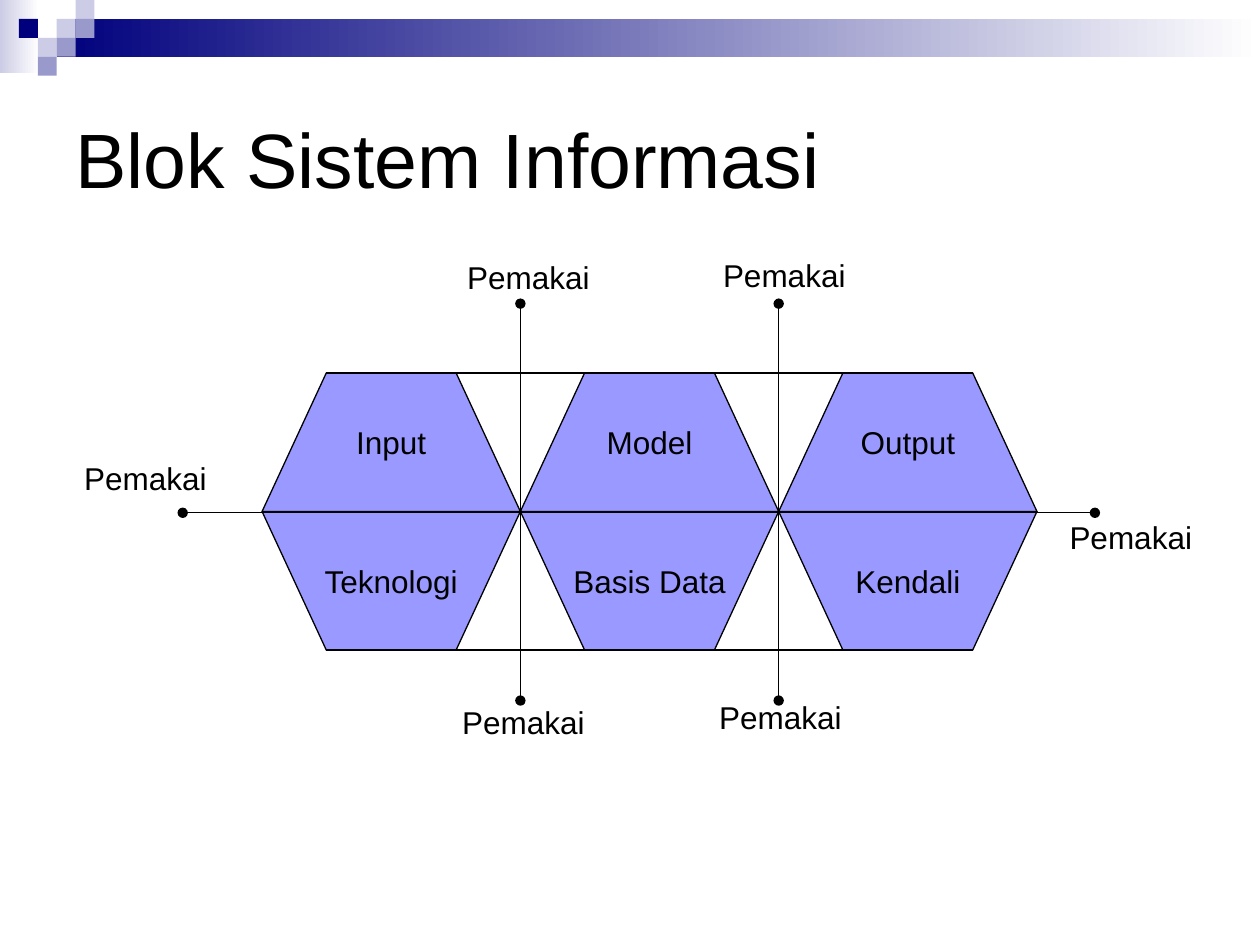
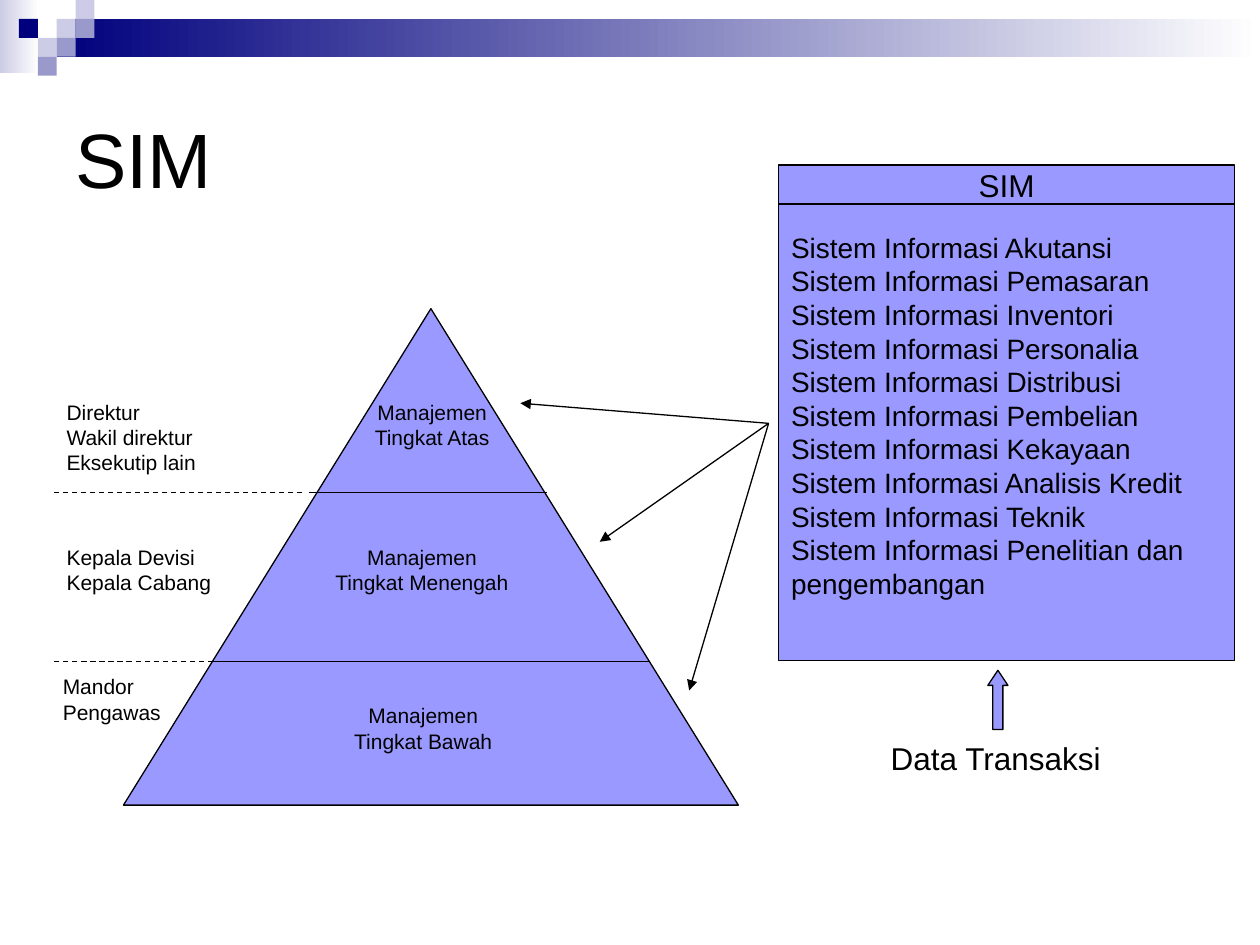
"""Build two slides on information system blocks and management levels."""
import dataclasses
import typing

import pptx
import pptx.dml.color
import pptx.enum.dml
import pptx.enum.shapes
import pptx.enum.text
import pptx.oxml
import pptx.oxml.ns
import pptx.shapes.autoshape
import pptx.slide
import pptx.text.text
import pptx.util

BLACK = pptx.dml.color.RGBColor(0x00, 0x00, 0x00)
WHITE = pptx.dml.color.RGBColor(0xFF, 0xFF, 0xFF)
NAVY = pptx.dml.color.RGBColor(0x00, 0x00, 0x7D)
PALE = pptx.dml.color.RGBColor(0xCC, 0xCC, 0xE6)
MID = pptx.dml.color.RGBColor(0x99, 0x99, 0xCC)
BLOCK = pptx.dml.color.RGBColor(0x99, 0x99, 0xFF)

FONT = "Arial"
THIN = pptx.util.Pt(0.75)
KIND = pptx.enum.shapes.MSO_SHAPE
ALIGN = pptx.enum.text.PP_ALIGN
ANCHOR = pptx.enum.text.MSO_ANCHOR

TILE = 0.15
LEFT, WIDE, TALL, SLANT = 2.08, 2.05, 1.1, 0.51
AXIS = 4.06


@dataclasses.dataclass(frozen=True)
class Box:
    left: float
    top: float
    width: float
    height: float

    def place(self) -> list[pptx.util.Length]:
        return [pptx.util.Inches(n) for n in dataclasses.astuple(self)]


@dataclasses.dataclass(frozen=True)
class Label:
    box: Box
    lines: tuple[str, ...]
    size: int = 18
    align: typing.Any = ALIGN.LEFT


@dataclasses.dataclass(frozen=True)
class Link:
    x1: float
    y1: float
    x2: float
    y2: float
    head: str = ""
    tail: str = ""
    dash: bool = False


@dataclasses.dataclass(frozen=True)
class Tile:
    col: int
    row: int
    color: pptx.dml.color.RGBColor


TILES = (
    Tile(3, 1, PALE), Tile(4, 0, PALE), Tile(4, 1, MID), Tile(2, 2, PALE),
    Tile(1, 1, NAVY), Tile(3, 2, MID), Tile(2, 3, MID),
)
FADES = (
    (Box(0, 0, 0.31, 0.58), PALE),
    (Box(0.45, 0.15, 9.55, 0.3), NAVY),
)
ROWS = (
    (AXIS + TALL, ("Teknologi", "Basis Data", "Kendali")),
    (AXIS - TALL, ("Input", "Model", "Output")),
)
SPOTS = ((0.57, 3.59), (3.57, 5.53), (5.61, 5.49), (8.39, 4.06), (5.64, 1.98), (3.61, 2))
LEVELS = (
    Label(Box(2.87, 3.12, 1.12, 0.5), ("Manajemen", "Tingkat Atas"), 12, ALIGN.CENTER),
    Label(Box(2.56, 4.27, 1.58, 0.5), ("Manajemen", "Tingkat Menengah"), 12, ALIGN.CENTER),
    Label(Box(2.71, 5.53, 1.3, 0.5), ("Manajemen", "Tingkat Bawah"), 12, ALIGN.CENTER),
    Label(Box(0.43, 3.12, 1.23, 0.7), ("Direktur", "Wakil direktur", "Eksekutip lain"), 12),
    Label(Box(0.43, 4.27, 1.35, 0.5), ("Kepala Devisi", "Kepala Cabang"), 12),
    Label(Box(0.4, 5.3, 0.98, 0.5), ("Mandor", "Pengawas"), 12),
    Label(Box(6.97, 5.82, 1.88, 0.4), ("Data Transaksi",)),
)
CUTS = (
    Link(4.34, 3.91, 2.45, 3.91), Link(5.16, 5.25, 1.69, 5.25),
    Link(2.4, 3.91, 0.43, 3.91, dash=True), Link(1.69, 5.25, 0.43, 5.25, dash=True),
)
AIMS = ((4.13, 3.2), (4.76, 4.3), (5.47, 5.48))
FIELDS = (
    "Akutansi", "Pemasaran", "Inventori", "Personalia", "Distribusi", "Pembelian",
    "Kekayaan", "Analisis Kredit", "Teknik", "Penelitian dan",
)


def write(frame: pptx.text.text.TextFrame, lines: typing.Iterable[str], size: int,
          align: typing.Any, anchor: typing.Any = ANCHOR.MIDDLE, wrap: bool = True) -> None:
    frame.word_wrap = wrap
    frame.vertical_anchor = anchor
    for i, line in enumerate(lines):
        para = frame.add_paragraph() if i else frame.paragraphs[0]
        para.alignment = align
        run = para.add_run()
        run.text = line
        run.font.name = FONT
        run.font.size = pptx.util.Pt(size)
        run.font.color.rgb = BLACK


def paint(shape: pptx.shapes.autoshape.Shape, color: pptx.dml.color.RGBColor,
          edge: bool = True) -> None:
    shape.shadow.inherit = False
    shape.fill.solid()
    shape.fill.fore_color.rgb = color
    if edge:
        shape.line.color.rgb = BLACK
        shape.line.width = THIN
    else:
        shape.line.fill.background()


def add_block(slide: pptx.slide.Slide, kind: typing.Any, box: Box,
              color: pptx.dml.color.RGBColor = BLOCK,
              edge: bool = True) -> pptx.shapes.autoshape.Shape:
    shape = slide.shapes.add_shape(kind, *box.place())
    paint(shape, color, edge)
    return shape


def add_label(slide: pptx.slide.Slide, label: Label) -> None:
    frame = slide.shapes.add_textbox(*label.box.place()).text_frame
    write(frame, label.lines, label.size, label.align, ANCHOR.TOP, False)


def add_link(slide: pptx.slide.Slide, link: Link) -> None:
    ends = [pptx.util.Inches(n) for n in (link.x1, link.y1, link.x2, link.y2)]
    line = slide.shapes.add_connector(pptx.enum.shapes.MSO_CONNECTOR.STRAIGHT, *ends)
    line.line.color.rgb = BLACK
    line.line.width = THIN
    if link.dash:
        line.line.dash_style = pptx.enum.dml.MSO_LINE.DASH
    props = line.element.spPr
    for tag, mark in (("a:headEnd", link.head), ("a:tailEnd", link.tail)):
        if mark:
            tip = pptx.oxml.parse_xml(f'<{tag} {pptx.oxml.ns.nsdecls("a")} type="{mark}"/>')
            props.get_or_add_ln().append(tip)
    props.append(pptx.oxml.parse_xml(f'<a:effectLst {pptx.oxml.ns.nsdecls("a")}/>'))


def add_trap(slide: pptx.slide.Slide, left: float, edge: float, text: str) -> None:
    right = left + WIDE
    spots = ((left, AXIS), (right, AXIS), (right - SLANT, edge), (left + SLANT, edge))
    first, *rest = [(pptx.util.Inches(x), pptx.util.Inches(y)) for x, y in spots]
    pen = slide.shapes.build_freeform(*first)
    pen.add_line_segments(rest, close=True)
    shape = pen.convert_to_shape()
    paint(shape, BLOCK)
    write(shape.text_frame, (text,), 18, ALIGN.CENTER)


def start(deck: typing.Any, title: str) -> pptx.slide.Slide:
    slide = deck.slides.add_slide(deck.slide_layouts[6])
    for box, color in FADES:
        fill = add_block(slide, KIND.RECTANGLE, box, color, False).fill
        fill.gradient()
        fill.gradient_angle = 0
        for stop, shade in zip(fill.gradient_stops, (color, WHITE)):
            stop.color.rgb = shade
    for tile in TILES:
        box = Box(tile.col * TILE, tile.row * TILE, TILE, TILE)
        add_block(slide, KIND.RECTANGLE, box, tile.color, False)
    head = slide.shapes.add_textbox(*Box(0.5, 0.5, 9, 1.5).place())
    write(head.text_frame, (title,), 44, ALIGN.LEFT)
    return slide


def draw_blocks(deck: typing.Any) -> None:
    slide = start(deck, "Blok Sistem Informasi")
    for edge, names in ROWS:
        for i, name in enumerate(names):
            add_trap(slide, LEFT + i * WIDE, edge, name)
    for edge, _ in ROWS:
        add_link(slide, Link(LEFT + SLANT, edge, LEFT + 3 * WIDE - SLANT, edge))
    add_link(slide, Link(1.45, 4.07, 8.69, 4.07, "oval", "oval"))
    for i in (1, 2):
        x = LEFT + i * WIDE
        add_link(slide, Link(x, 2.41, x, 5.56, "oval", "oval"))
    for x, y in SPOTS:
        add_label(slide, Label(Box(x, y, 1.17, 0.4), ("Pemakai",)))


def draw_levels(deck: typing.Any) -> None:
    slide = start(deck, "SIM")
    add_block(slide, KIND.ISOSCELES_TRIANGLE, Box(0.98, 2.45, 4.88, 3.94))
    for label in LEVELS:
        add_label(slide, label)
    for cut in CUTS:
        add_link(slide, cut)
    head = add_block(slide, KIND.RECTANGLE, Box(6.18, 1.31, 3.62, 0.31))
    write(head.text_frame, ("SIM",), 18, ALIGN.CENTER)
    body = add_block(slide, KIND.RECTANGLE, Box(6.18, 1.62, 3.62, 3.62))
    lines = [f"Sistem Informasi {field}" for field in FIELDS] + ["pengembangan"]
    write(body.text_frame, lines, 16, ALIGN.LEFT)
    body.text_frame.margin_bottom = pptx.util.Inches(0.32)
    for x, y in AIMS:
        add_link(slide, Link(6.1, 3.36, x, y, tail="triangle"))
    arrow = add_block(slide, KIND.UP_ARROW, Box(7.84, 5.32, 0.16, 0.47))
    arrow.adjustments[1] = 0.75


def main() -> None:
    deck = pptx.Presentation()
    deck.slide_width = pptx.util.Inches(10)
    deck.slide_height = pptx.util.Inches(7.5)
    draw_blocks(deck)
    draw_levels(deck)
    deck.save("out.pptx")


if __name__ == "__main__":
    main()
